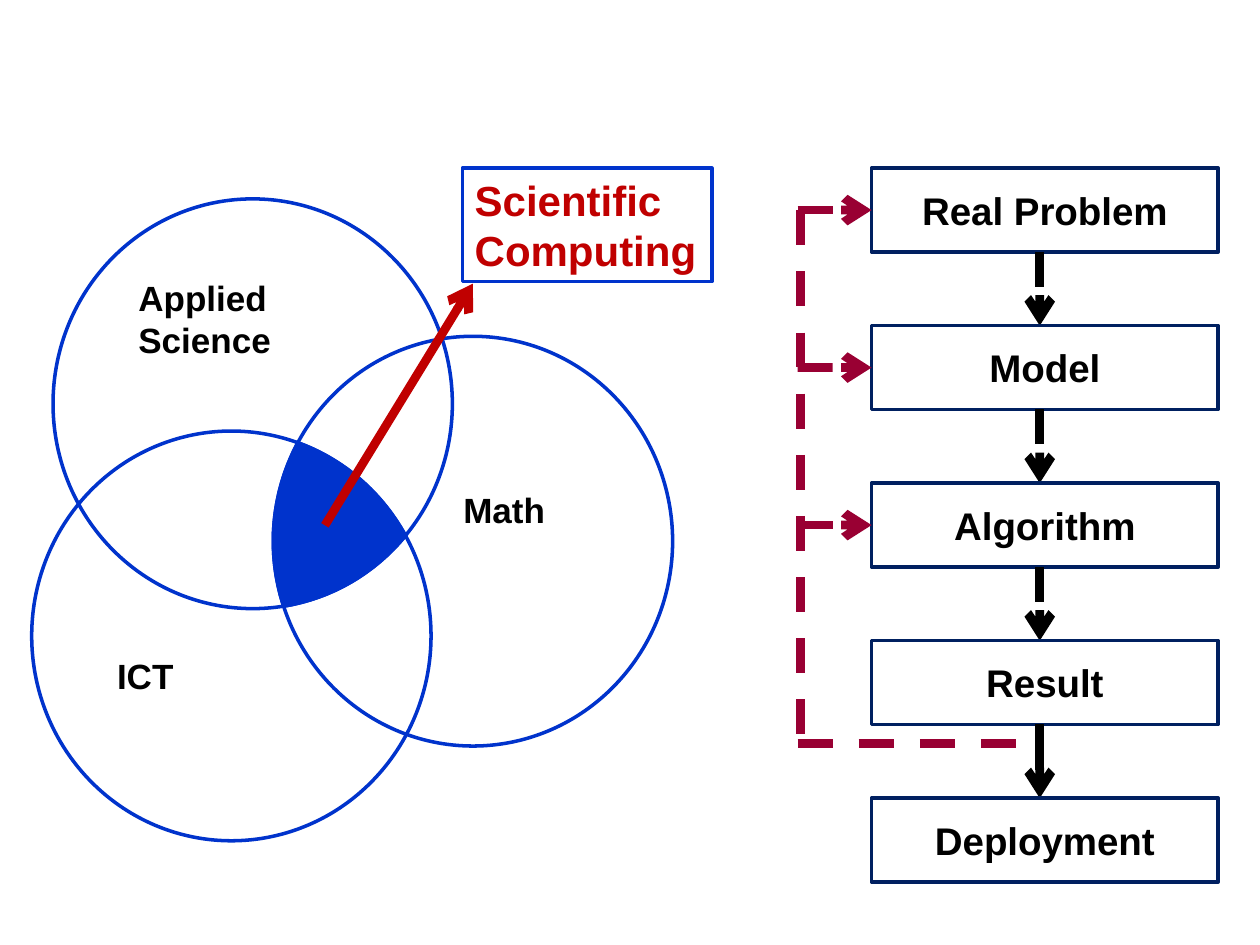
from dataclasses import dataclass
from math import atan2, cos, remainder, sin, tau

from lxml.etree import SubElement
from pptx import Presentation
from pptx.dml.color import RGBColor
from pptx.enum.dml import MSO_LINE
from pptx.enum.shapes import MSO_CONNECTOR, MSO_SHAPE
from pptx.enum.text import MSO_ANCHOR, MSO_AUTO_SIZE, PP_ALIGN
from pptx.oxml.ns import qn
from pptx.util import Cm, Pt


@dataclass(frozen=True)
class Theme:
    font: str = "Arial"
    blue: str = "0033CC"
    navy: str = "002060"
    maroon: str = "990033"
    red: str = "C00000"
    black: str = "000000"
    label_size: int = 20
    step_size: int = 22
    callout_size: int = 24
    outline: int = 2
    arrow: int = 5


@dataclass(frozen=True)
class Field:
    """A circle of the Venn diagram; lengths in cm."""
    left: float
    top: float
    width: float = 8.05
    height: float = 8.26

    def angle(self, point: tuple) -> float:
        x, y = point
        return atan2((y - self.top) / self.height - 0.5,
                     (x - self.left) / self.width - 0.5)

    def arc(self, start: tuple, end: tuple, steps: int = 16) -> list:
        first = self.angle(start)
        sweep = remainder(self.angle(end) - first, tau)
        angles = [first + sweep * step / steps for step in range(steps + 1)]
        return [(self.left + self.width / 2 * (1 + cos(angle)),
                 self.top + self.height / 2 * (1 + sin(angle))) for angle in angles]


@dataclass(frozen=True)
class Label:
    text: str
    left: float
    top: float
    width: float
    height: float


THEME = Theme()
SCIENCE = Field(1.07, 4.01)
ICT = Field(0.64, 8.69)
MATH = Field(5.51, 6.78)
LABELS = [
    Label("Applied Science", 2.54, 5.44, 4.02, 1.96),
    Label("ICT", 2.11, 13.06, 4.02, 1.12),
    Label("Math", 9.09, 9.73, 4.02, 1.12),
]
CALLOUT = Label("Scientific Computing", 9.32, 3.39, 5.03, 2.29)
# Corners of the overlap: top, right, bottom
CORE_TOP, CORE_RIGHT, CORE_BOTTOM = (5.97, 8.94), (8.18, 10.82), (5.72, 12.19)

STEPS = ["Real Problem", "Model", "Algorithm", "Result", "Deployment"]
STEP_LEFT, STEP_TOP, STEP_WIDTH, STEP_HEIGHT = 17.57, 3.39, 6.99, 1.69
STEP_PITCH = 12.7 / 4
FLOW_X = 20.96
LOOP_X, LOOP_BOTTOM = 16.13, 14.99


def style_shape(shape, line: str, fill: str = "") -> None:
    shape.shadow.inherit = False
    shape.line.color.rgb = RGBColor.from_string(line)
    shape.line.width = Pt(THEME.outline)
    if fill:
        shape.fill.solid()
        shape.fill.fore_color.rgb = RGBColor.from_string(fill)
    else:
        shape.fill.background()


def write(box, text: str, size: int, color: str, align=PP_ALIGN.LEFT,
          anchor=MSO_ANCHOR.TOP, grow: bool = True) -> None:
    frame = box.text_frame
    frame.word_wrap = True
    frame.vertical_anchor = anchor
    if grow:
        frame.auto_size = MSO_AUTO_SIZE.SHAPE_TO_FIT_TEXT
    para = frame.paragraphs[0]
    para.text = text
    para.alignment = align
    para.font.name = THEME.font
    para.font.size = Pt(size)
    para.font.bold = True
    para.font.color.rgb = RGBColor.from_string(color)


def add_outline(page, kind, item, line: str):
    shape = page.shapes.add_shape(kind, Cm(item.left), Cm(item.top),
                                  Cm(item.width), Cm(item.height))
    style_shape(shape, line)
    return shape


def add_line(page, start: tuple, end: tuple, color: str,
             dashed: bool = True, arrow: bool = True):
    line = page.shapes.add_connector(MSO_CONNECTOR.STRAIGHT,
                                     *map(Cm, start), *map(Cm, end))
    line.line.color.rgb = RGBColor.from_string(color)
    line.line.width = Pt(THEME.arrow)
    if dashed:
        line.line.dash_style = MSO_LINE.DASH
    if arrow:
        SubElement(line.line._get_or_add_ln(), qn("a:tailEnd"), type="arrow")
    SubElement(line._element.spPr, qn("a:effectLst"))
    return line


def add_core(page) -> None:
    points = [(Cm(x), Cm(y)) for x, y in (
        ICT.arc(CORE_TOP, CORE_RIGHT)
        + SCIENCE.arc(CORE_RIGHT, CORE_BOTTOM)
        + MATH.arc(CORE_BOTTOM, CORE_TOP))]
    builder = page.shapes.build_freeform(*points[0])
    builder.add_line_segments(points[1:], close=True)
    style_shape(builder.convert_to_shape(), THEME.blue, THEME.blue)


def add_venn(page) -> None:
    for field in (SCIENCE, ICT, MATH):
        add_outline(page, MSO_SHAPE.OVAL, field, THEME.blue)
    for label in LABELS:
        box = page.shapes.add_textbox(Cm(label.left), Cm(label.top),
                                      Cm(label.width), Cm(label.height))
        write(box, label.text, THEME.label_size, THEME.black)
    callout = add_outline(page, MSO_SHAPE.RECTANGLE, CALLOUT, THEME.blue)
    write(callout, CALLOUT.text, THEME.callout_size, THEME.red)
    add_core(page)
    add_line(page, (6.55, 10.59), (9.53, 5.72), THEME.red, dashed=False)


def add_process(page) -> None:
    # Steps and the arrows between them
    boxes = []
    for index, text in enumerate(STEPS):
        top = STEP_TOP + index * STEP_PITCH
        step = Label(text, STEP_LEFT, top, STEP_WIDTH, STEP_HEIGHT)
        box = add_outline(page, MSO_SHAPE.RECTANGLE, step, THEME.navy)
        write(box, text, THEME.step_size, THEME.black, PP_ALIGN.CENTER,
              MSO_ANCHOR.MIDDLE, grow=False)
        boxes.append(box)
        if index < len(STEPS) - 1:
            add_line(page, (FLOW_X, top + STEP_HEIGHT), (FLOW_X, top + STEP_PITCH),
                     THEME.black, dashed=text != "Result")

    # Feedback loop to the first three steps
    for index, box in enumerate(boxes[:3]):
        middle = STEP_TOP + index * STEP_PITCH + STEP_HEIGHT / 2
        branch = add_line(page, (16.08, middle), (STEP_LEFT, middle), THEME.maroon)
        branch.end_connect(box, 1)
    add_line(page, (16.08, LOOP_BOTTOM), (FLOW_X, LOOP_BOTTOM), THEME.maroon, arrow=False)
    add_line(page, (LOOP_X, 4.24), (LOOP_X, 15.04), THEME.maroon, arrow=False)


def main() -> None:
    deck = Presentation()
    deck.slide_width, deck.slide_height = Cm(25.4), Cm(19.05)
    page = deck.slides.add_slide(deck.slide_layouts[6])
    add_process(page)
    add_venn(page)
    deck.save("out.pptx")


if __name__ == "__main__":
    main()
